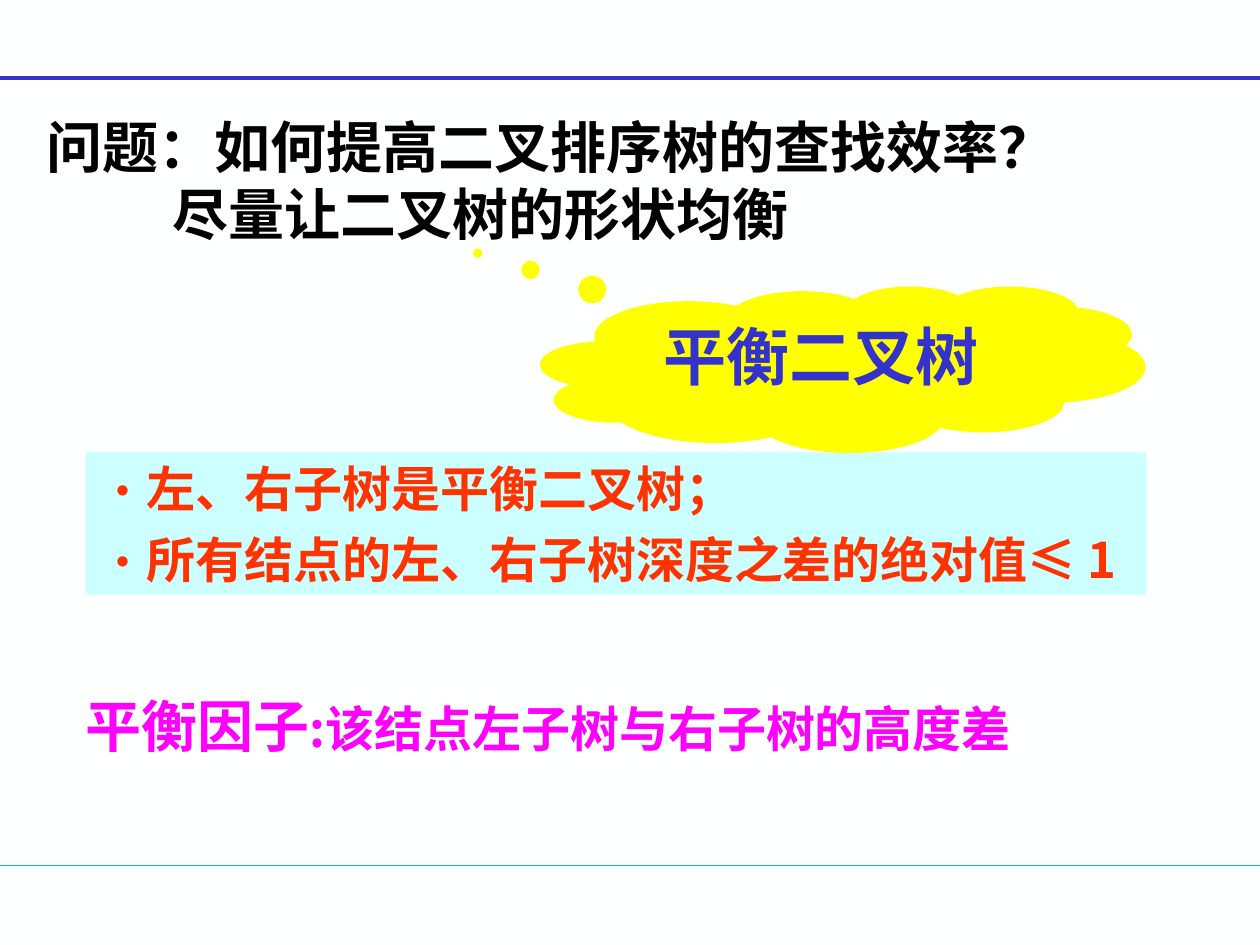
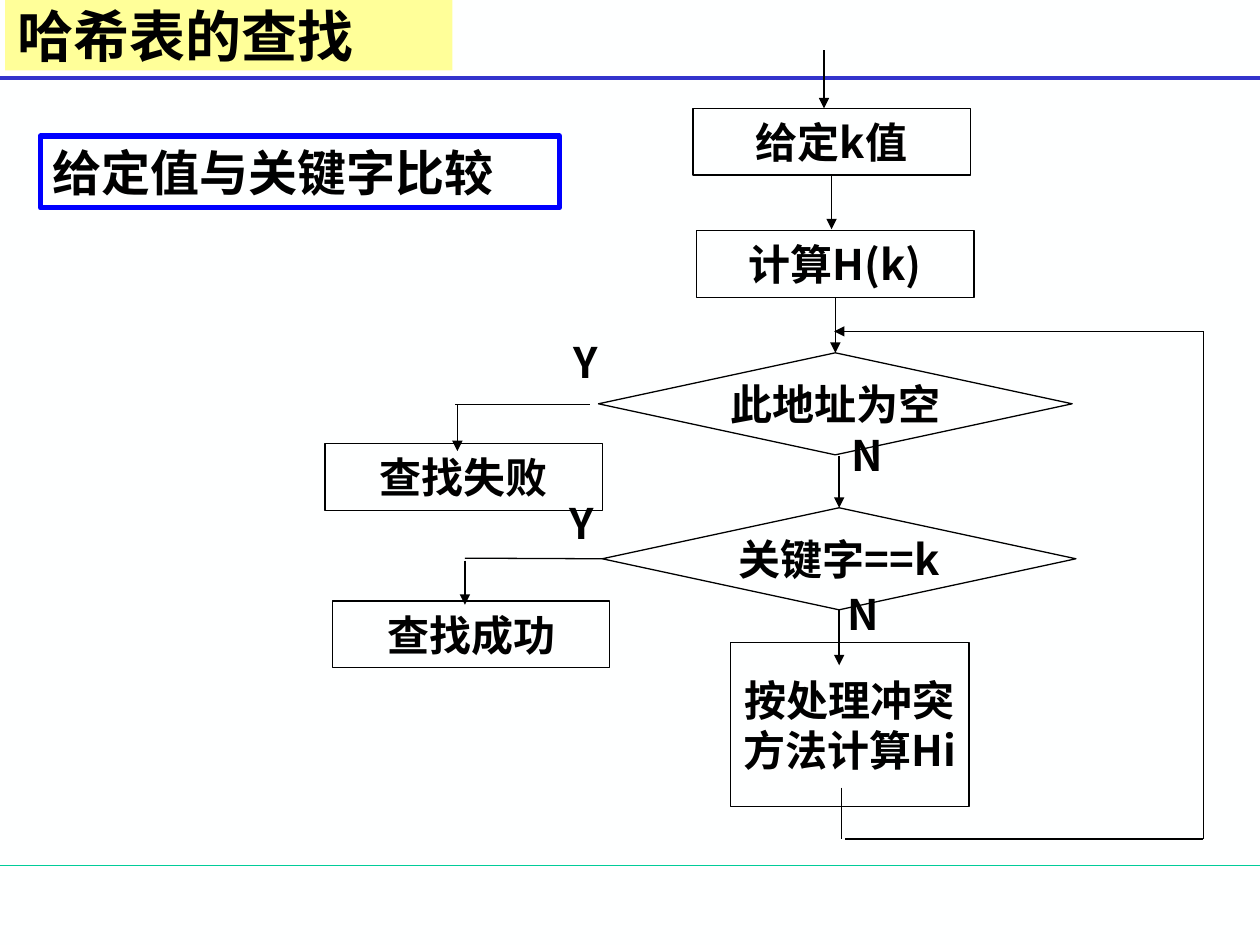
from lxml import etree
from pptx import Presentation
from pptx.dml.color import RGBColor
from pptx.enum.shapes import MSO_CONNECTOR, MSO_SHAPE
from pptx.enum.text import MSO_ANCHOR, MSO_AUTO_SIZE, PP_ALIGN
from pptx.oxml.ns import qn
from pptx.util import Inches, Pt

STRAIGHT = MSO_CONNECTOR.STRAIGHT
RECT, CLOUD = MSO_SHAPE.RECTANGLE, MSO_SHAPE.CLOUD_CALLOUT
PROCESS, DECISION = MSO_SHAPE.FLOWCHART_PROCESS, MSO_SHAPE.FLOWCHART_DECISION
TOP, MIDDLE = MSO_ANCHOR.TOP, MSO_ANCHOR.MIDDLE
LEFT, CENTER = PP_ALIGN.LEFT, PP_ALIGN.CENTER
SITE_TOP, SITE_LEFT, SITE_BOTTOM = 0, 1, 2

FONT, CLOUD_FONT = "Noto Sans CJK SC", "Times New Roman"
BLACK, BLUE, FRAME_BLUE, GREEN = "000000", "3333CC", "0000FF", "00CC99"
RED, MAGENTA, CYAN = "FF3300", "FF00FF", "CCFFFF"
YELLOW, PALE_YELLOW, PAPER = "FFFF00", "FFFF99", "FEFFFF"
LINE_HEIGHT = 1.2
BULLET_INDENT = 0.23

# Rules on every slide: y, colour, width
RULES = [(6.87, GREEN, 0.75), (0.62, BLUE, 2.25)]

QUESTION = ["问题：如何提高二叉排序树的查找效率？", "尽量让二叉树的形状均衡"]
CONCEPT = "平衡二叉树"
CONDITIONS = ["左、右子树是平衡二叉树；", "所有结点的左、右子树深度之差的绝对值≤ 1"]
FACTOR = [("平衡因子", 32), (":该结点左子树与右子树的高度差", 28)]

HASH_TITLE = "哈希表的查找"
COMPARISON = "给定值与关键字比较"
PROCESS_SIZE, DECISION_SIZE = (2.2, 0.53), (3.76, 0.81)
# Step: preset, left, top, size, lines
STEPS = {
    "key": (PROCESS, 5.5, 0.86, PROCESS_SIZE, ["给定k值"]),
    "hash": (PROCESS, 5.53, 1.83, PROCESS_SIZE, ["计算H(k)"]),
    "empty": (DECISION, 4.75, 2.8, DECISION_SIZE, ["此地址为空"]),
    "equal": (DECISION, 4.78, 4.03, DECISION_SIZE, ["关键字==k"]),
    "failure": (PROCESS, 2.58, 3.52, PROCESS_SIZE, ["查找失败"]),
    "success": (PROCESS, 2.64, 4.77, PROCESS_SIZE, ["查找成功"]),
    "rehash": (PROCESS, 5.8, 5.1, (1.89, 1.3), ["按处理冲突", "方法计算Hi"]),
}
# Flow: from, to, arrowhead, joined start, joined end
FLOWS = [
    ((6.54, 0.4), (6.54, 0.86), True, None, None),
    ((6.6, 1.39), (6.6, 1.82), True, ("key", SITE_BOTTOM), None),
    ((6.63, 2.36), (6.63, 2.8), True, ("hash", SITE_BOTTOM), ("empty", SITE_TOP)),
    ((6.66, 3.62), (6.66, 4.03), True, None, ("equal", SITE_TOP)),
    ((6.66, 4.84), (6.66, 5.28), True, ("equal", SITE_BOTTOM), None),
    ((4.68, 3.21), (3.61, 3.21), False, None, None),
    ((3.63, 3.21), (3.63, 3.58), True, None, None),
    ((4.78, 4.43), (3.69, 4.43), False, ("equal", SITE_LEFT), None),
    ((3.69, 4.45), (3.69, 4.8), True, None, None),
    ((6.68, 6.25), (6.68, 6.66), False, None, None),
    ((6.71, 6.66), (9.55, 6.66), False, None, None),
    ((9.55, 6.66), (9.55, 2.63), False, None, None),
    ((9.55, 2.63), (6.62, 2.63), True, None, None),
]
ANSWERS = [("Y", 4.45, 2.62), ("N", 6.66, 3.36), ("Y", 4.42, 3.9), ("N", 6.63, 4.62)]


def rgb(value):
    return RGBColor.from_string(value)


def write(shape, paragraphs, size, color=BLACK, font=FONT, align=LEFT,
          anchor=TOP, wrap=True, gap=0):
    """Fill a shape with paragraphs: strings, or lists of (text, size) runs."""
    frame = shape.text_frame
    settings = {"word_wrap": wrap, "auto_size": MSO_AUTO_SIZE.NONE,
                "vertical_anchor": anchor,
                "margin_left": Inches(0.1), "margin_right": Inches(0.1),
                "margin_top": Inches(0.05), "margin_bottom": Inches(0.05)}
    for name, value in settings.items():
        setattr(frame, name, value)
    for index, content in enumerate(paragraphs):
        paragraph = frame.add_paragraph() if index else frame.paragraphs[0]
        runs = [(content, size)] if isinstance(content, str) else content
        paragraph.alignment = align
        paragraph.line_spacing = Pt(LINE_HEIGHT * max(points for _, points in runs))
        paragraph.space_before = Pt(gap if index else 0)
        for text, points in runs:
            run = paragraph.add_run()
            run.text = text
            run.font.color.rgb = rgb(color)
            for name, value in {"size": Pt(points), "bold": True, "name": font}.items():
                setattr(run.font, name, value)
            etree.SubElement(run.font._element, qn("a:ea"), typeface=FONT)


def indent(paragraph, left, first=0):
    properties = paragraph._p.get_or_add_pPr()
    properties.set("marL", str(Inches(left)))
    properties.set("indent", str(Inches(first)))
    return properties


def add_bullet(paragraph, color):
    properties = indent(paragraph, BULLET_INDENT, -BULLET_INDENT)
    bullet_color = etree.SubElement(properties, qn("a:buClr"))
    etree.SubElement(bullet_color, qn("a:srgbClr"), val=color)
    etree.SubElement(properties, qn("a:buFont"), typeface=FONT)
    etree.SubElement(properties, qn("a:buChar"), char="•")


def add_panel(slide, preset, box, fill=None, line=None, width=0.75):
    panel = slide.shapes.add_shape(preset, *map(Inches, box))
    panel.shadow.inherit = False
    if fill:
        panel.fill.solid()
        panel.fill.fore_color.rgb = rgb(fill)
    else:
        panel.fill.background()
    if line:
        panel.line.color.rgb = rgb(line)
        panel.line.width = Pt(width)
    else:
        panel.line.fill.background()
    return panel


def add_line(slide, start, end, color=BLACK, width=0.75, arrow=False):
    line = slide.shapes.add_connector(STRAIGHT, *map(Inches, start + end))
    line.line.color.rgb = rgb(color)
    line.line.width = Pt(width)
    if arrow:
        etree.SubElement(line.line._get_or_add_ln(), qn("a:tailEnd"), type="triangle")
    etree.SubElement(line._element.spPr, qn("a:effectLst"))
    return line


def add_slide(prs, title_lines, title_box, anchor):
    """Add a slide with its rules and a placed title; return both."""
    slide = prs.slides.add_slide(prs.slide_layouts[5])
    for y, color, width in RULES:
        add_line(slide, (0, y), (10, y), color, width)
    title = slide.shapes.title
    for name, value in zip(("left", "top", "width", "height"), title_box):
        setattr(title, name, Inches(value))
    write(title, title_lines, 32, anchor=anchor)
    return slide, title


def build_balanced_tree(prs):
    slide, title = add_slide(prs, QUESTION, (0.27, 0.84, 8.82, 1.17), TOP)
    indent(title.text_frame.paragraphs[1], 1)

    conditions = add_panel(slide, RECT, (0.68, 3.59, 8.42, 1.13), CYAN)
    write(conditions, CONDITIONS, 28, RED, gap=7)
    for paragraph in conditions.text_frame.paragraphs:
        add_bullet(paragraph, RED)

    cloud = add_panel(slide, CLOUD, (4.29, 2.27, 4.8, 1.32), YELLOW)
    cloud.adjustments[0], cloud.adjustments[1] = -0.604, -0.698
    write(cloud, [CONCEPT], 36, BLUE, CLOUD_FONT, CENTER)

    factor = slide.shapes.add_textbox(*map(Inches, (0.58, 5.44, 7.85, 0.64)))
    write(factor, [FACTOR], 32, MAGENTA)


def build_hash_search(prs):
    slide, title = add_slide(prs, [HASH_TITLE], (0.04, 0, 3.55, 0.56), MIDDLE)
    title.fill.solid()
    title.fill.fore_color.rgb = rgb(PALE_YELLOW)

    steps = {}
    for key, (preset, left, top, size, lines) in STEPS.items():
        steps[key] = add_panel(slide, preset, (left, top) + size, line=BLACK)
        write(steps[key], lines, 24, align=CENTER, anchor=MIDDLE, wrap=len(lines) > 1)

    for start, end, arrow, start_join, end_join in FLOWS:
        flow = add_line(slide, start, end, arrow=arrow)
        if start_join:
            flow.begin_connect(steps[start_join[0]], start_join[1])
        if end_join:
            flow.end_connect(steps[end_join[0]], end_join[1])

    for answer, left, top in ANSWERS:
        label = slide.shapes.add_textbox(*map(Inches, (left, top, 0.4, 0.5)))
        write(label, [answer], 24)

    comparison = add_panel(slide, RECT, (0.32, 1.08, 4.12, 0.57), line=FRAME_BLUE, width=3)
    write(comparison, [COMPARISON], 28)


def main():
    prs = Presentation()
    prs.slide_width, prs.slide_height = Inches(10), Inches(7.5)
    background = prs.slide_master.background.fill
    background.solid()
    background.fore_color.rgb = rgb(PAPER)
    build_balanced_tree(prs)
    build_hash_search(prs)
    prs.save("out.pptx")


if __name__ == "__main__":
    main()
